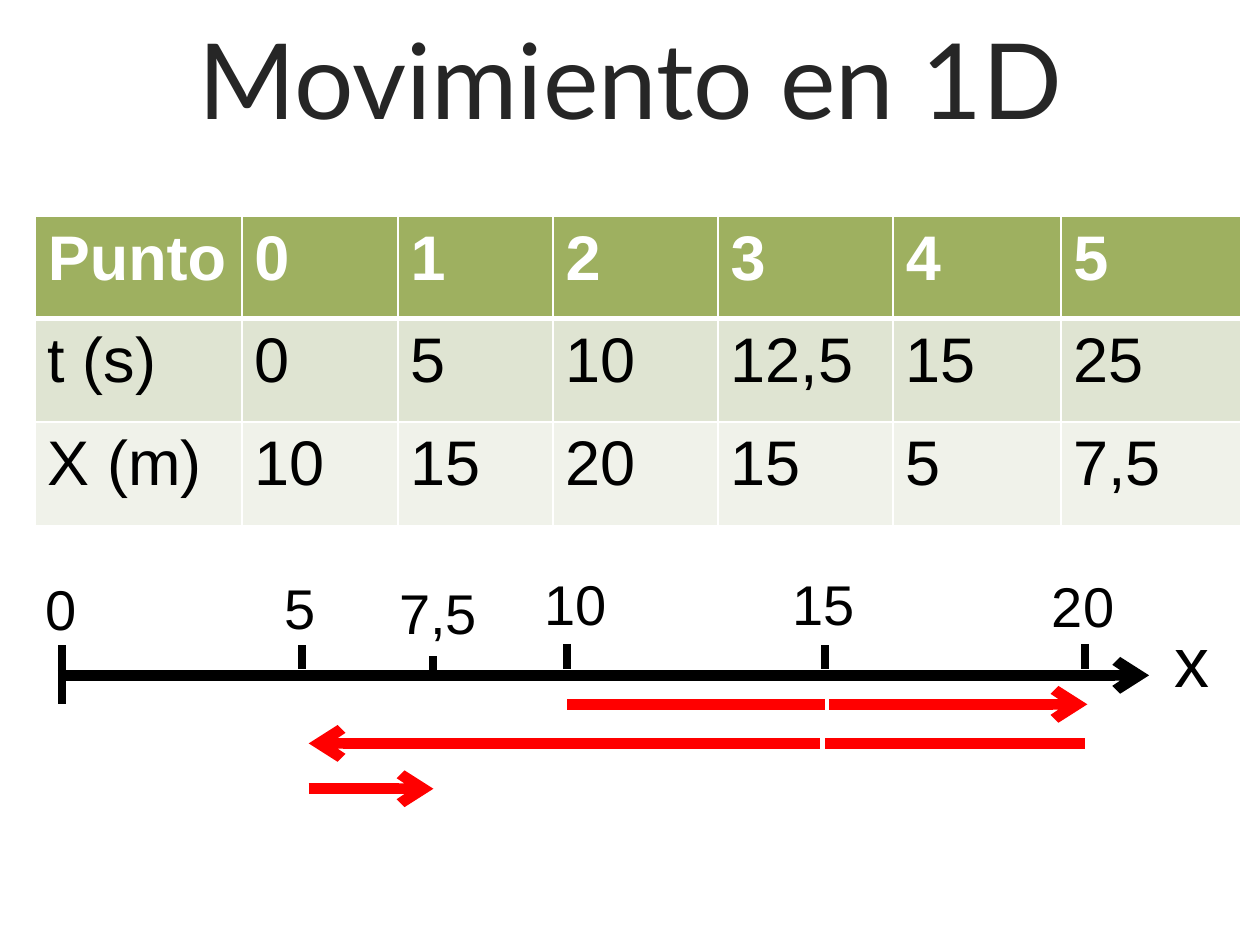
from dataclasses import dataclass

from lxml import etree
from pptx import Presentation
from pptx.dml.color import RGBColor
from pptx.enum import shapes, text
from pptx.oxml import ns
from pptx.util import Inches, Pt


@dataclass(frozen=True)
class Theme:
    title_font: str = "Lato"
    body_font: str = "Arial"
    title_color: str = "262626"
    ink: str = "000000"
    white: str = "FFFFFF"
    header_fill: str = "9EB060"
    row_fills: tuple = ("DFE4D2", "F0F2EA")
    travel: str = "FF0000"
    title_size: float = 60
    table_size: float = 36
    label_size: float = 32
    axis_size: float = 40
    tick_width: float = 4.5
    line_width: float = 6
    border: float = 1
    header_border: float = 3


class SlideBuilder:
    def __init__(self, slide, theme):
        self.slide = slide
        self.theme = theme

    def style(self, tf, font, size, color, bold=False):
        for p in tf.paragraphs:
            for r in p.runs:
                r.font.name = font
                r.font.size = Pt(size)
                r.font.bold = bold
                r.font.color.rgb = RGBColor.from_string(color)

    def title(self, content, left, top, width, height):
        sp = self.slide.shapes.title
        sp.left, sp.top = Inches(left), Inches(top)
        sp.width, sp.height = Inches(width), Inches(height)
        tf = sp.text_frame
        tf.text = content
        tf.vertical_anchor = text.MSO_ANCHOR.MIDDLE
        tf.paragraphs[0].alignment = text.PP_ALIGN.CENTER
        self.style(tf, self.theme.title_font, self.theme.title_size,
                   self.theme.title_color)

    def label(self, content, left, top, width, height, size):
        box = self.slide.shapes.add_textbox(
            Inches(left), Inches(top), Inches(width), Inches(height))
        tf = box.text_frame
        tf.word_wrap = True
        tf.text = content
        self.style(tf, self.theme.body_font, size, self.theme.ink)

    def line(self, x1, y1, x2, y2, color, width, arrow=None):
        cx = self.slide.shapes.add_connector(
            shapes.MSO_CONNECTOR.STRAIGHT,
            Inches(x1), Inches(y1), Inches(x2), Inches(y2))
        cx.line.width = Pt(width)
        cx.line.color.rgb = RGBColor.from_string(color)
        if arrow:
            end = etree.SubElement(cx.line._get_or_add_ln(), ns.qn(f"a:{arrow}End"))
            end.set("type", "arrow")
        etree.SubElement(cx._element.spPr, ns.qn("a:effectLst"))

    def border(self, cell, side, width):
        ln = etree.SubElement(cell._tc.get_or_add_tcPr(), ns.qn(f"a:ln{side}"))
        ln.set("w", str(Pt(width)))
        fill = etree.SubElement(ln, ns.qn("a:solidFill"))
        etree.SubElement(fill, ns.qn("a:srgbClr")).set("val", self.theme.white)

    def table(self, rows, left, top, widths, heights):
        t = self.theme
        table = self.slide.shapes.add_table(
            len(rows), len(widths), Inches(left), Inches(top),
            Inches(sum(widths)), Inches(sum(heights))).table
        for column, width in zip(table.columns, widths):
            column.width = Inches(width)
        for i, values in enumerate(rows):
            table.rows[i].height = Inches(heights[i])
            header = i == 0
            fill = t.header_fill if header else t.row_fills[(i - 1) % 2]
            sides = {"L": t.border, "R": t.border,
                     "T": t.header_border if i == 1 else t.border,
                     "B": t.header_border if header else t.border}
            for j, value in enumerate(values):
                cell = table.cell(i, j)
                cell.text_frame.text = value
                self.style(cell.text_frame, t.body_font, t.table_size,
                           t.white if header else t.ink, header)
                for side, width in sides.items():
                    self.border(cell, side, width)
                cell.fill.solid()
                cell.fill.fore_color.rgb = RGBColor.from_string(fill)


def main():
    prs = Presentation()
    prs.slide_width, prs.slide_height = Inches(10), Inches(7.5)
    theme = Theme()
    s = SlideBuilder(prs.slides.add_slide(prs.slide_layouts[5]), theme)

    s.title("Movimiento en 1D", 0.5, -0.01, 9, 1.25)
    s.table(
        [["Punto", "0", "1", "2", "3", "4", "5"],
         ["t (s)", "0", "5", "10", "12,5", "15", "25"],
         ["X (m)", "10", "15", "20", "15", "5", "7,5"]],
        0.28, 1.72,
        [1.64, 1.24, 1.23, 1.31, 1.39, 1.33, 1.43], [0.81, 0.82, 0.82])

    s.line(0.46, 5.36, 9.12, 5.36, theme.ink, theme.line_width, "tail")
    s.label("x", 9.22, 4.85, 0.56, 0.77, theme.axis_size)

    ticks = [
        ("0", 0.49, 5.12, 5.59, 0.26, 4.51, 0.49),
        ("5", 2.4, 5.12, 5.31, 2.16, 4.5, 0.56),
        ("7,5", 3.44, 5.21, 5.37, 3.07, 4.54, 0.94),
        ("10", 4.5, 5.11, 5.31, 4.22, 4.47, 0.72),
        ("15", 6.55, 5.12, 5.31, 6.19, 4.47, 0.72),
        ("20", 8.61, 5.11, 5.31, 8.25, 4.49, 0.72),
    ]
    for value, x, top, bottom, left, label_top, width in ticks:
        s.line(x, top, x, bottom, theme.ink, theme.tick_width)
        s.label(value, left, label_top, width, 0.64, theme.label_size)

    travels = [
        (4.5, 6.55, 5.59, None),
        (6.58, 8.63, 5.59, "tail"),
        (6.55, 8.61, 5.9, None),
        (2.45, 6.51, 5.9, "head"),
        (2.45, 3.44, 6.26, "tail"),
    ]
    for start, end, y, arrow in travels:
        s.line(start, y, end, y, theme.travel, theme.line_width, arrow)

    prs.save("out.pptx")


if __name__ == "__main__":
    main()
